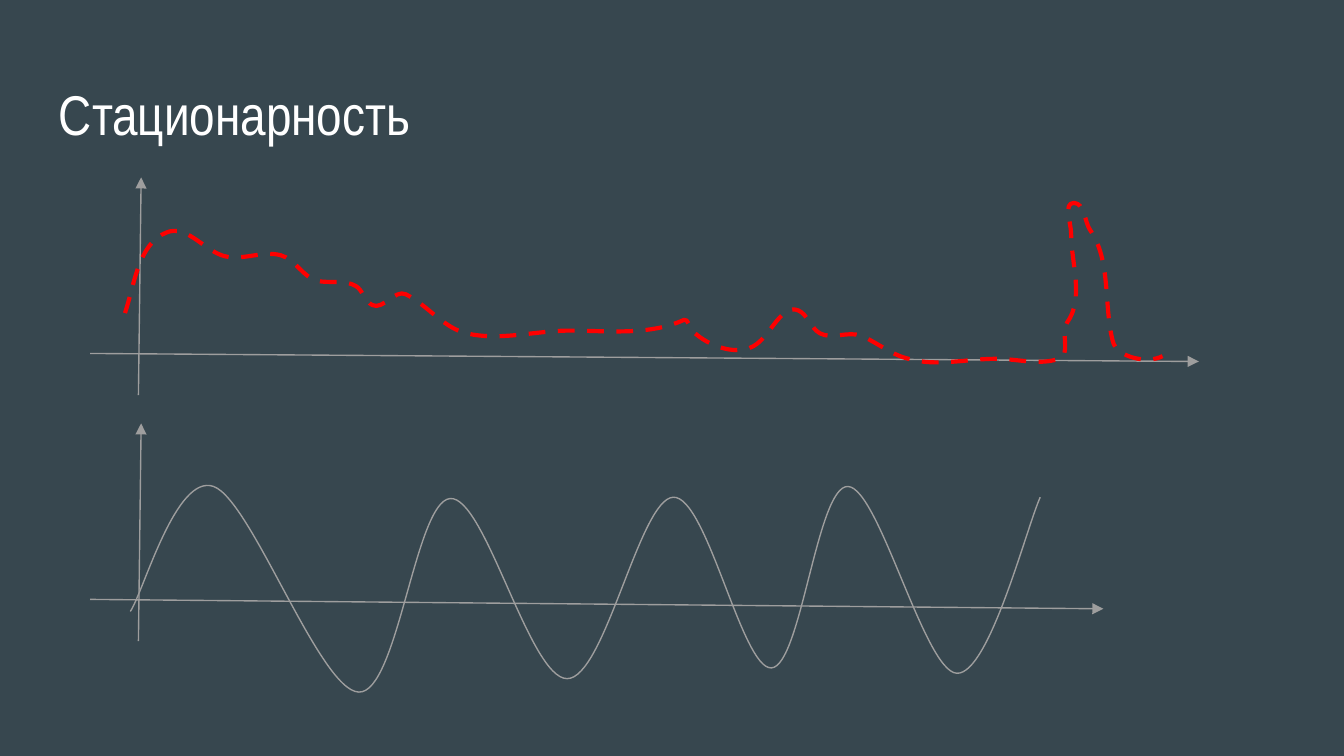
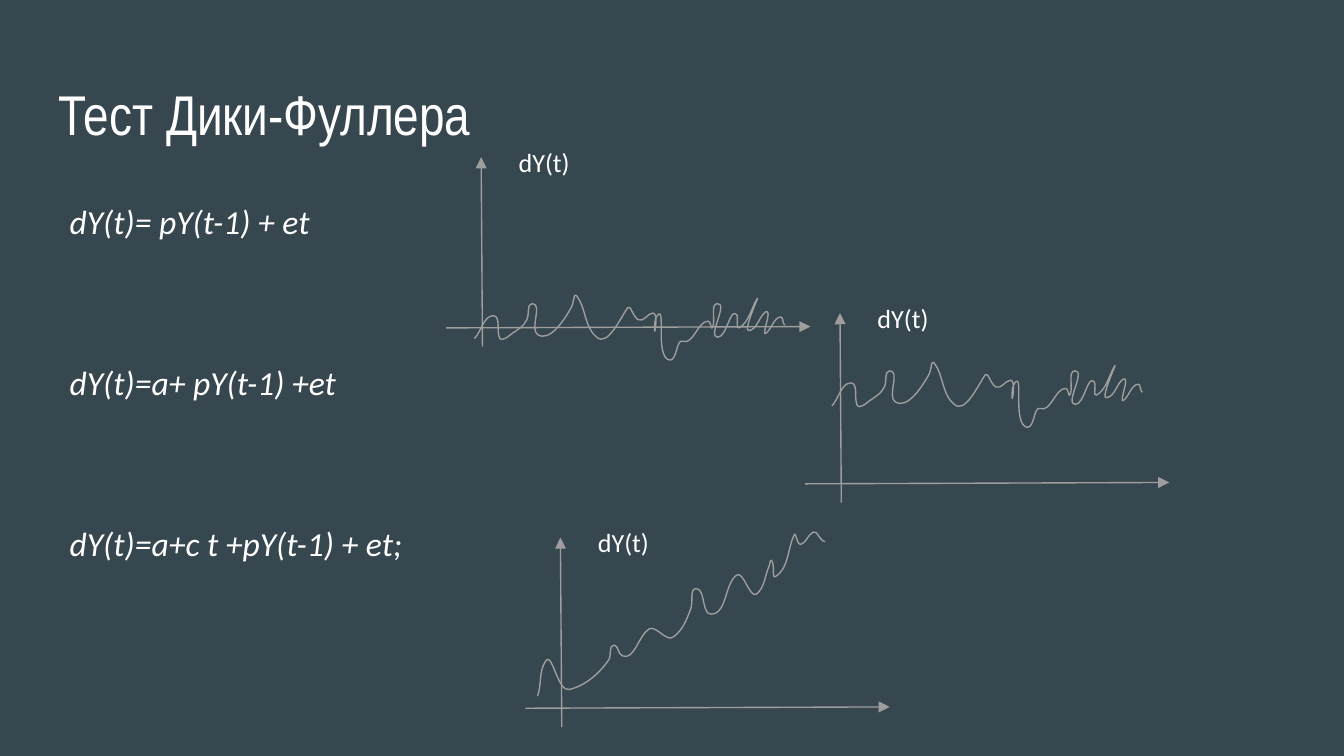
import itertools
import math
from dataclasses import dataclass

import lxml.etree
import pptx
import pptx.dml.color
import pptx.enum.dml
import pptx.enum.shapes
import pptx.enum.text
import pptx.oxml.ns
import pptx.util

CELL = pptx.util.Inches(0.01)  # grid step: the slide is 1000 columns wide
SLIDE_WIDTH = pptx.util.Inches(10)
SLIDE_HEIGHT = pptx.util.Inches(5.625)
qualified = pptx.oxml.ns.qn


@dataclass(frozen=True)
class Theme:
    background: str = "37474F"
    text: str = "FFFFFF"
    line: str = "9E9E9E"
    accent: str = "FF0000"
    title_font: str = "Arial Narrow"
    body_font: str = "Calibri"
    title_size: float = 30
    formula_size: float = 18
    label_size: float = 14
    thin: float = 0.75
    thick: float = 2.25


THEME = Theme()

# Turning points of the wave: column, row.
WAVE = [(97, 455), (159, 362), (267, 515), (335, 371), (422, 505),
        (501, 370), (574, 497), (631, 362), (712, 501), (774, 370)]

# Knots of the irregular curves: column, row, heading in degrees (0 right, 90 down).
DRIFT = [
    (93, 233, -72), (124, 173, -22), (165, 190, 20), (209, 190, 16), (236, 209, 14),
    (265, 213, 30), (277, 227, 25), (302, 219, 27), (347, 248, 13), (424, 246, 0),
    (509, 238, -26), (515, 246, 45), (563, 256, -37), (594, 231, 20), (610, 248, 27),
    (641, 250, 22), (676, 267, 15), (741, 267, 0), (788, 267, -19), (794, 240, -55),
    (797, 174, -90), (799, 151, 0), (811, 171, 56), (828, 254, 76), (865, 265, -29),
]
NOISE = [
    (353, 252, -45), (367, 235, 0), (372, 252, 60), (380, 249, -40), (392, 238, -66),
    (396, 226, 0), (400, 249, 34), (425, 229, -60), (429, 220, 53), (444, 251, 40),
    (467, 229, -56), (475, 238, 25), (486, 233, 0), (487, 246, -90), (489, 235, -53),
    (498, 268, 14), (508, 254, 21), (527, 239, 0), (530, 244, -60), (534, 226, 0),
    (534, 251, 0), (548, 234, 45), (550, 244, -30), (563, 223, -63), (558, 246, -20),
    (570, 232, -27), (570, 248, -40), (581, 236, 0), (584, 242, 27),
]
TREND = [
    (400, 518, -68), (406, 492, -55), (424, 513, -16), (453, 491, -52), (457, 480, 0),
    (463, 488, 23), (483, 468, -31), (501, 474, -37), (514, 453, -67), (518, 438, 0),
    (529, 457, 0), (548, 428, -37), (563, 442, -39), (572, 422, -70), (574, 417, 40),
    (577, 429, -32), (591, 398, -65), (596, 405, -16), (605, 396, -24), (614, 403, 0),
]
NOISE_WITH_INTERCEPT_SHIFT = (266, 50)


def color(value):
    return pptx.dml.color.RGBColor.from_string(value)


def smooth_segments(points):
    """Catmull-Rom rule: each handle is a sixth of the step between the neighbours."""
    padded = [points[0], *points, points[-1]]
    for before, start, end, after in zip(padded, padded[1:], padded[2:], padded[3:]):
        leaving = tuple(s + (e - b) / 6 for b, s, e in zip(before, start, end))
        arriving = tuple(e - (a - s) / 6 for s, e, a in zip(start, end, after))
        yield leaving, arriving, end


def headed_segments(knots):
    """Each handle follows its knot's heading for a third of the chord."""
    for (x1, y1, heading1), (x2, y2, heading2) in itertools.pairwise(knots):
        reach = math.dist((x1, y1), (x2, y2)) / 3
        angle1, angle2 = math.radians(heading1), math.radians(heading2)
        leaving = (x1 + reach * math.cos(angle1), y1 + reach * math.sin(angle1))
        arriving = (x2 - reach * math.cos(angle2), y2 - reach * math.sin(angle2))
        yield leaving, arriving, (x2, y2)


def add_text(slide, box, lines, font, size, italic=False):
    left, top, width, height = (cells * CELL for cells in box)
    frame = slide.shapes.add_textbox(left, top, width, height).text_frame
    frame.word_wrap = True
    frame.vertical_anchor = pptx.enum.text.MSO_ANCHOR.TOP
    frame.margin_left = frame.margin_right = 10 * CELL
    frame.margin_top = frame.margin_bottom = 10 * CELL
    for index, line in enumerate(lines):
        paragraph = frame.add_paragraph() if index else frame.paragraphs[0]
        run = paragraph.add_run()
        run.text = line
        run.font.name = font
        run.font.size = pptx.util.Pt(size)
        run.font.italic = italic
        run.font.color.rgb = color(THEME.text)
    return frame


def add_title_slide(presentation, title):
    slide = presentation.slides.add_slide(presentation.slide_layouts[6])
    slide.background.fill.solid()
    slide.background.fill.fore_color.rgb = color(THEME.background)
    add_text(slide, (34, 49, 932, 63), [title], THEME.title_font, THEME.title_size)
    return slide


def add_formulas(slide, formulas):
    frame = add_text(slide, (36, 99, 932, 434), formulas,
                     THEME.body_font, THEME.formula_size, italic=True)
    frame.margin_top = 46 * CELL
    for index, paragraph in enumerate(frame.paragraphs):
        paragraph.alignment = pptx.enum.text.PP_ALIGN.JUSTIFY
        paragraph.line_spacing = 1.15
        paragraph.space_before = pptx.util.Pt(61.5 if index else 0)
        paragraph._p.get_or_add_pPr().set("marL", str(6 * CELL))


def add_arrow(slide, start, end):
    ends = [cells * CELL for cells in (*start, *end)]
    arrow = slide.shapes.add_connector(pptx.enum.shapes.MSO_CONNECTOR.STRAIGHT, *ends)
    arrow.line.color.rgb = color(THEME.line)
    arrow.line.width = pptx.util.Pt(THEME.thin)
    lxml.etree.SubElement(arrow.line._get_or_add_ln(), qualified("a:tailEnd"), type="triangle")
    lxml.etree.SubElement(arrow._element.spPr, qualified("a:effectLst"))


def bend_lines(shape):
    """Turn every three line segments of a freeform into one Bezier segment."""
    outline = next(shape._element.iter(qualified("a:path")))
    lines = outline.findall(qualified("a:lnTo"))
    for first in range(0, len(lines), 3):
        bezier = lxml.etree.SubElement(outline, qualified("a:cubicBezTo"))
        for line in lines[first:first + 3]:
            bezier.append(line[0])
            outline.remove(line)


def add_curve(slide, knots, segments=headed_segments, shift=(0, 0),
              line=THEME.line, width=THEME.thin, dash=None):
    start_column, start_row = knots[0][:2]
    builder = slide.shapes.build_freeform(start_column, start_row, scale=CELL)
    points = itertools.chain.from_iterable(segments(knots))
    builder.add_line_segments(list(points), close=False)
    shape = builder.convert_to_shape(*(cells * CELL for cells in shift))
    bend_lines(shape)
    shape.shadow.inherit = False
    shape.fill.background()
    shape.line.color.rgb = color(line)
    shape.line.width = pptx.util.Pt(width)
    if dash:
        shape.line.dash_style = dash


def add_wide_axes(slide, top, right, drop):
    """Axes of a full-width plot; the time axis falls by drop cells."""
    add_arrow(slide, (103, top + 162), (105, top))
    add_arrow(slide, (67, top + 131), (right, top + 131 + drop))


def add_small_axes(slide, left, top, label_width):
    add_arrow(slide, (left + 27, top + 159), (left + 26, top + 18))
    add_arrow(slide, (left, top + 145), (left + 271, top + 144))
    add_text(slide, (left + 44, top, label_width, 36), ["dY(t)"],
             THEME.body_font, THEME.label_size)


def add_stationarity_slide(presentation):
    slide = add_title_slide(presentation, "Стационарность")
    add_wide_axes(slide, top=132, right=892, drop=6)
    add_wide_axes(slide, top=315, right=821, drop=7)
    add_curve(slide, DRIFT, line=THEME.accent, width=THEME.thick,
              dash=pptx.enum.dml.MSO_LINE.DASH)
    add_curve(slide, WAVE, segments=smooth_segments)


def add_dickey_fuller_slide(presentation):
    slide = add_title_slide(presentation, "Тест Дики-Фуллера")
    add_formulas(slide, ["dY(t)= pY(t-1) + et",
                         "dY(t)=a+ pY(t-1) +et",
                         "dY(t)=a+c t +pY(t-1) + et;"])
    for left, top, label_width in ((332, 99, 89), (599, 215, 102), (391, 382, 102)):
        add_small_axes(slide, left, top, label_width)
    add_curve(slide, NOISE)
    add_curve(slide, NOISE, shift=NOISE_WITH_INTERCEPT_SHIFT)
    add_curve(slide, TREND)


def main():
    presentation = pptx.Presentation()
    presentation.slide_width = SLIDE_WIDTH
    presentation.slide_height = SLIDE_HEIGHT
    add_stationarity_slide(presentation)
    add_dickey_fuller_slide(presentation)
    presentation.save("out.pptx")


if __name__ == "__main__":
    main()
